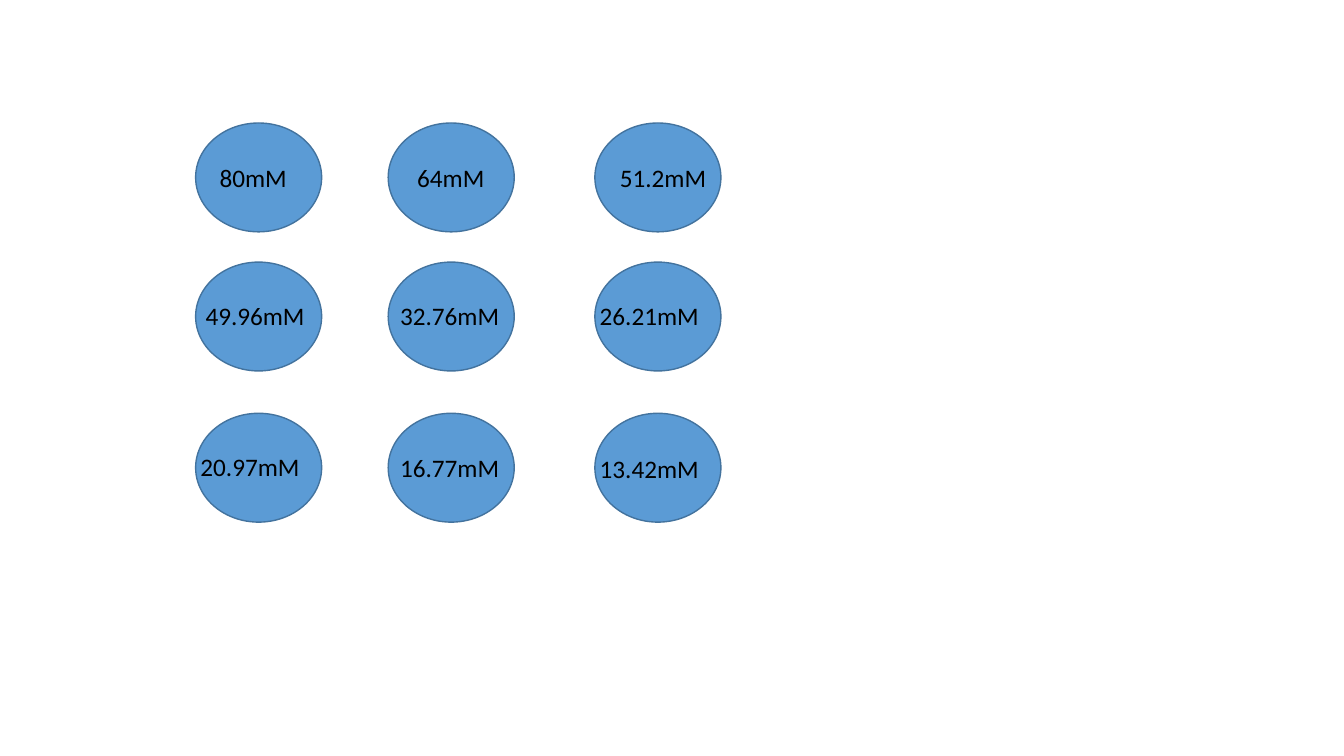
from dataclasses import dataclass
from itertools import product

from pptx import Presentation
from pptx import util as u
from pptx.dml import color
from pptx.enum import shapes, text


@dataclass(frozen=True)
class Theme:
    well: str = "5B9BD5"
    outline: str = "43739E"
    ink: str = "000000"
    font: str = "Calibri"
    size: int = 18
    line: int = 1


theme = Theme()
prs = Presentation()
prs.slide_width = u.Inches(13.33)
prs.slide_height = u.Inches(7.5)
s = prs.slides.add_slide(prs.slide_layouts[6])


def add_label(content, *, left, top, width, height=0.4, size=theme.size, ink=theme.ink):
    sp = s.shapes.add_textbox(u.Inches(left), u.Inches(top), u.Inches(width), u.Inches(height))
    tf = sp.text_frame
    tf.word_wrap = True
    tf.auto_size = text.MSO_AUTO_SIZE.SHAPE_TO_FIT_TEXT
    r = tf.paragraphs[0].add_run()
    r.text = content
    r.font.name = theme.font
    r.font.size = u.Pt(size)
    r.font.color.rgb = color.RGBColor.from_string(ink)


columns = [1.94, 3.85, 5.9]
rows = [1.22, 2.6, 4.1]
for top, left in product(rows, columns):
    sp = s.shapes.add_shape(
        shapes.MSO_SHAPE.OVAL, u.Inches(left), u.Inches(top), u.Inches(1.25), u.Inches(1.08)
    )
    sp.shadow.inherit = False
    sp.fill.solid()
    sp.fill.fore_color.rgb = color.RGBColor.from_string(theme.well)
    sp.line.color.rgb = color.RGBColor.from_string(theme.outline)
    sp.line.width = u.Pt(theme.line)

concentrations = [
    ("80mM", 2.08, 1.56, 0.96),
    ("64mM", 4.04, 1.56, 0.96),
    ("51.2mM", 6.05, 1.56, 1.34),
    ("49.96mM", 1.94, 2.93, 1.34),
    ("32.76mM", 3.87, 2.93, 1.34),
    ("26.21mM", 5.85, 2.93, 1.34),
    ("20.97mM", 1.89, 4.43, 1.34),
    ("16.77mM", 3.87, 4.44, 1.34),
    ("13.42mM", 5.85, 4.45, 1.34),
]
for concentration, left, top, width in concentrations:
    add_label(concentration, left=left, top=top, width=width)

prs.save("out.pptx")
